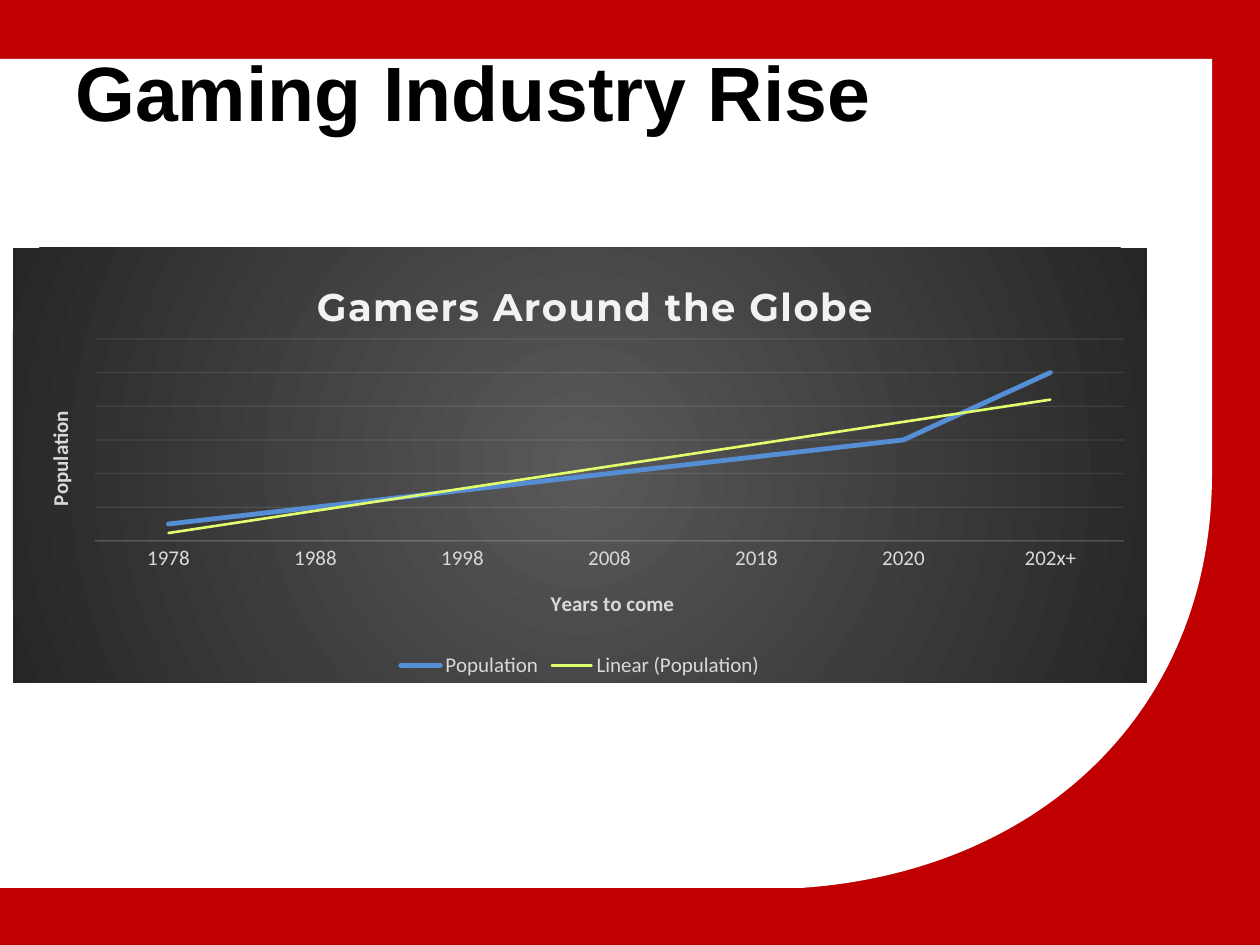
from dataclasses import dataclass
from typing import Any, Optional

from lxml.etree import SubElement
from pptx import Presentation
from pptx.chart.data import CategoryChartData
from pptx.dml.color import RGBColor
from pptx.enum.chart import XL_CHART_TYPE, XL_LEGEND_POSITION, XL_TICK_MARK
from pptx.enum.text import MSO_ANCHOR
from pptx.oxml import parse_xml
from pptx.oxml.ns import nsdecls, qn
from pptx.util import Emu, Pt

PX_PER_INCH = 126


@dataclass(frozen=True)
class Theme:
    red: str = "C00000"
    white: str = "FFFFFF"
    black: str = "000000"
    label: str = "D9D9D9"
    light: str = "F2F2F2"
    glow: str = "595959"
    edge: str = "262626"
    population: str = "558ED5"
    trend: str = "E1FF6D"
    heading_font: str = "Arial"
    chart_font: str = "Calibri"
    chart_title_font: str = "Montserrat"
    heading_size: int = 44
    chart_title_size: int = 22
    label_size: int = 12


@dataclass(frozen=True)
class Box:
    left: int
    top: int
    width: int = 0
    height: int = 0


@dataclass(frozen=True)
class Caption:
    text: str
    box: Box
    font: str
    size: int
    color: str
    spacing: int = 0
    rotation: int = 0


THEME = Theme()
CHART_BOX = Box(13, 248, 1134, 435)
PLOT_BOX = Box(95, 339, 1029, 202)
HEADING_BOX = Box(63, 38, 1134, 157)

CHART_CAPTION = Caption("Gamers Around the Globe", Box(310, 273), THEME.chart_title_font,
                        THEME.chart_title_size, THEME.light, spacing=100)
YEARS_CAPTION = Caption("Years to come", Box(547, 585), THEME.chart_font,
                        THEME.label_size, THEME.label)
POPULATION_CAPTION = Caption("Population", Box(42, 407), THEME.chart_font,
                             THEME.label_size, THEME.label, rotation=-5400000)

POPULATION = {"1978": 10, "1988": 20, "1998": 30, "2008": 40,
              "2018": 50, "2020": 60, "202x+": 100}


def px(length: float) -> Emu:
    return Emu(round(length * 914400 / PX_PER_INCH))


def rgb(color: str) -> RGBColor:
    return RGBColor.from_string(color)


def style_font(font: Any, name: str, size: int, color: str, bold: bool = False) -> None:
    font.name, font.size, font.bold = name, Pt(size), bold
    font.color.rgb = rgb(color)


def style_line(line: Any, color: str, width: float, opacity: Optional[int] = None) -> None:
    line.color.rgb = rgb(color)
    line.width = Pt(width)
    if opacity is not None:
        tint = line._ln.find(".//" + qn("a:srgbClr"))
        SubElement(tint, qn("a:alpha"), val=str(opacity * 1000))


def place(part: Any, box: Box, position: int, inner: bool = False) -> None:
    for automatic in part.findall(qn("c:layout")):
        part.remove(automatic)
    layout = parse_xml(f"<c:layout {nsdecls('c')}><c:manualLayout/></c:layout>")
    settings = {"layoutTarget": "inner"} if inner else {}
    settings.update(xMode="edge", yMode="edge",
                    x=f"{(box.left - CHART_BOX.left) / CHART_BOX.width:.4f}",
                    y=f"{(box.top - CHART_BOX.top) / CHART_BOX.height:.4f}")
    if box.width:
        settings.update(w=f"{box.width / CHART_BOX.width:.4f}",
                        h=f"{box.height / CHART_BOX.height:.4f}")
    for tag, value in settings.items():
        SubElement(layout[0], qn(f"c:{tag}"), val=value)
    part.insert(position, layout)


def add_caption(title: Any, caption: Caption) -> None:
    run = title.text_frame.paragraphs[0].add_run()
    run.text = caption.text
    style_font(run.font, caption.font, caption.size, caption.color, bold=True)
    if caption.spacing:
        run._r.get_or_add_rPr().set("spc", str(caption.spacing))
    if caption.rotation:
        body = title._element.find(".//" + qn("a:bodyPr"))
        body.set("rot", str(caption.rotation))
        body.set("vert", "horz")
    place(title._element, caption.box, 1)


def add_panel(slide: Any) -> None:
    start, pull_down, pull_right, end = (1212, 476), (1211, 713), (1038, 872), (801, 888)
    steps = 60
    curve = []
    for step in range(steps + 1):
        t = step / steps
        weights = ((1 - t) ** 3, 3 * t * (1 - t) ** 2, 3 * t * t * (1 - t), t ** 3)
        curve.append(tuple(
            px(sum(w * point[axis] for w, point in zip(weights, (start, pull_down, pull_right, end))))
            for axis in (0, 1)))
    outline = slide.shapes.build_freeform(px(-1), px(59))
    outline.add_line_segments([(px(1212), px(59)), *curve, (px(0), px(888))], close=True)
    panel = outline.convert_to_shape()
    panel.shadow.inherit = False
    panel.fill.solid()
    panel.fill.fore_color.rgb = rgb(THEME.white)
    panel.line.fill.background()


def add_heading(slide: Any, text: str, box: Box) -> None:
    heading = slide.shapes.add_textbox(px(box.left), px(box.top), px(box.width), px(box.height))
    frame = heading.text_frame
    frame.word_wrap = True
    frame.vertical_anchor = MSO_ANCHOR.TOP
    run = frame.paragraphs[0].add_run()
    run.text = text
    style_font(run.font, THEME.heading_font, THEME.heading_size, THEME.black, bold=True)


def add_radial_fill(chart: Any) -> None:
    fill = parse_xml(
        f"<c:spPr {nsdecls('c', 'a')}><a:gradFill><a:gsLst>"
        f'<a:gs pos="0"><a:srgbClr val="{THEME.glow}"/></a:gs>'
        f'<a:gs pos="100000"><a:srgbClr val="{THEME.edge}"/></a:gs></a:gsLst>'
        '<a:path path="circle"><a:fillToRect l="50000" t="50000" r="50000" b="50000"/></a:path>'
        "</a:gradFill><a:ln><a:noFill/></a:ln></c:spPr>")
    chart._chartSpace.find(qn("c:chart")).addnext(fill)


def add_trend(series: Any) -> None:
    trend = parse_xml(
        f"<c:trendline {nsdecls('c', 'a')}><c:spPr>"
        f'<a:ln w="{Pt(1.5)}" cap="rnd"><a:solidFill><a:srgbClr val="{THEME.trend}"/></a:solidFill></a:ln>'
        '</c:spPr><c:trendlineType val="linear"/><c:dispRSqr val="0"/><c:dispEq val="0"/></c:trendline>')
    series._element.find(qn("c:cat")).addprevious(trend)


def add_population_chart(slide: Any, box: Box) -> None:
    data = CategoryChartData()
    data.categories = list(POPULATION)
    data.add_series("Population", list(POPULATION.values()))
    chart = slide.shapes.add_chart(XL_CHART_TYPE.LINE, px(box.left), px(box.top),
                                   px(box.width), px(box.height), data).chart
    style_font(chart.font, THEME.chart_font, THEME.label_size, THEME.label)
    add_radial_fill(chart)
    chart.has_title = True
    add_caption(chart.chart_title, CHART_CAPTION)

    years, amounts = chart.category_axis, chart.value_axis
    add_caption(years.axis_title, YEARS_CAPTION)
    add_caption(amounts.axis_title, POPULATION_CAPTION)
    years.major_tick_mark = XL_TICK_MARK.NONE
    style_line(years.format.line, THEME.light, 0.75, 10)
    amounts.minimum_scale, amounts.maximum_scale, amounts.major_unit = 0, 120, 20
    amounts.has_major_gridlines = True
    style_line(amounts.major_gridlines.format.line, THEME.light, 0.75, 10)
    amounts.visible = False

    plot = chart.plots[0]
    plot.vary_by_categories = False
    series = plot.series[0]
    series.smooth = False
    style_line(series.format.line, THEME.population, 2.75)
    series.format.line._ln.set("cap", "rnd")
    add_trend(series)

    chart.has_legend = True
    chart.legend.position = XL_LEGEND_POSITION.BOTTOM
    chart.legend.include_in_layout = False
    style_font(chart.legend.font, THEME.chart_font, THEME.label_size, THEME.label)
    place(chart._chartSpace.find(".//" + qn("c:plotArea")), PLOT_BOX, 0, inner=True)


def main() -> None:
    deck = Presentation()
    deck.slide_width, deck.slide_height = px(1260), px(945)
    slide = deck.slides.add_slide(deck.slide_layouts[6])
    slide.background.fill.solid()
    slide.background.fill.fore_color.rgb = rgb(THEME.red)
    add_panel(slide)
    add_heading(slide, "Gaming Industry Rise", HEADING_BOX)
    add_population_chart(slide, CHART_BOX)
    deck.save("out.pptx")


if __name__ == "__main__":
    main()
